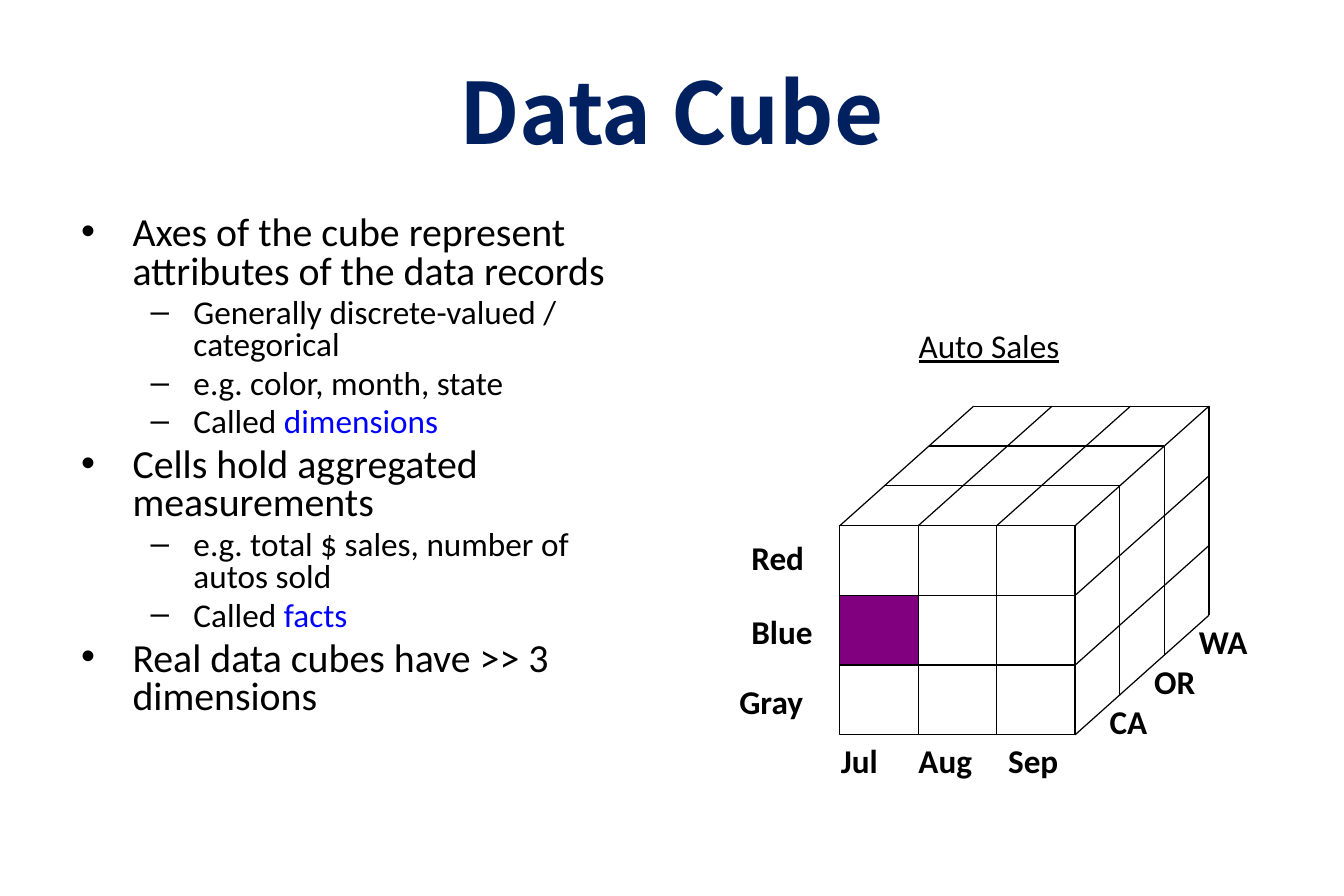
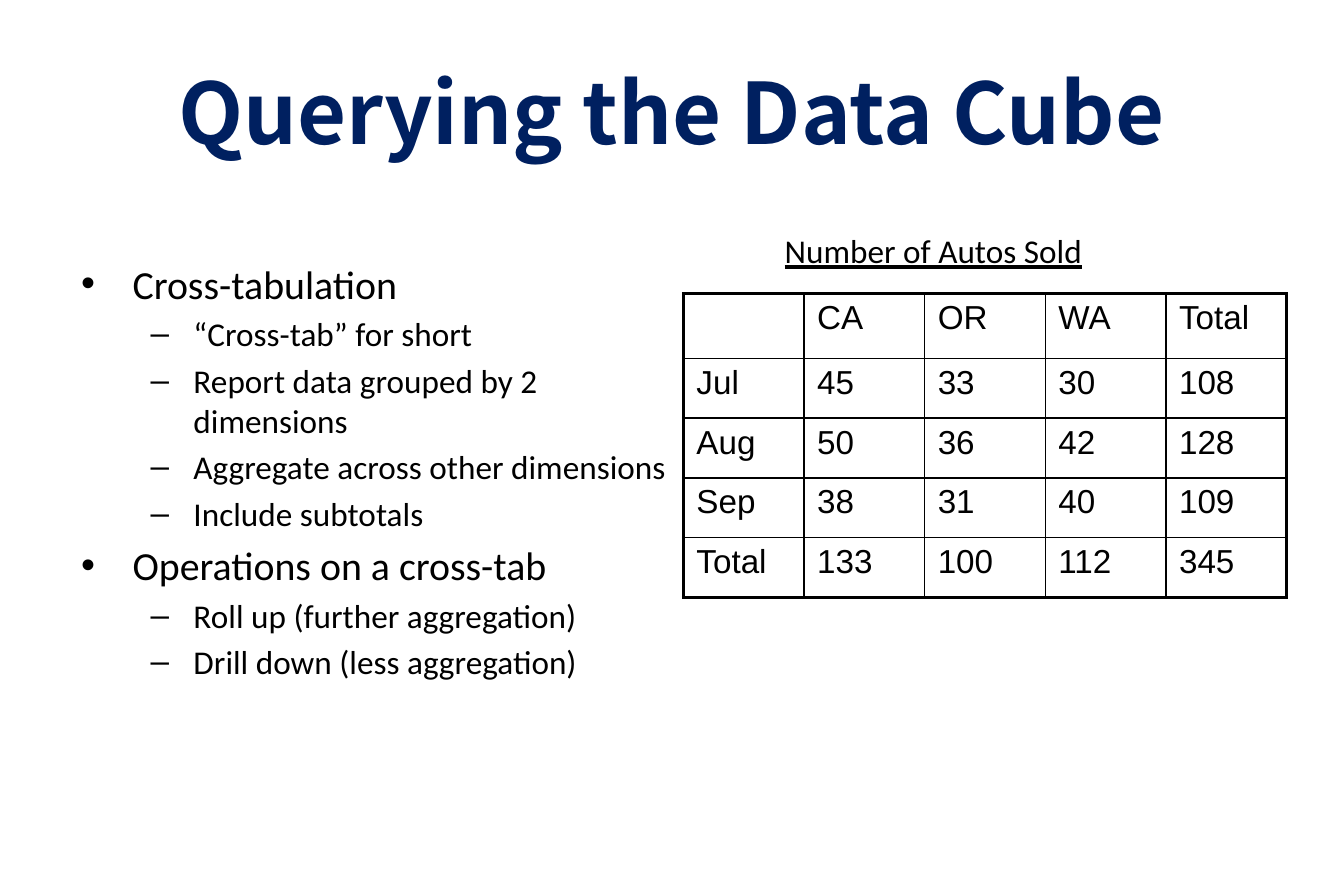
import pptx
import pptx.dml.color
import pptx.enum.shapes
import pptx.enum.text
import pptx.oxml
import pptx.oxml.ns
import pptx.util
from pptx.util import Inches

RGBColor = pptx.dml.color.RGBColor
BLACK = RGBColor(0x00, 0x00, 0x00)
NAVY = RGBColor(0x00, 0x20, 0x60)
BLUE = RGBColor(0x00, 0x00, 0xFF)
PURPLE = RGBColor(0x80, 0x00, 0x80)

TITLE_FONT = "Noto Sans CJK SC"
BODY_FONT = "Calibri"
TABLE_FONT = "Arial"

# Per bullet level: character, left margin, hanging indent, size, space before
BULLETS = [("•", 0.43, 0.43, 24, 4.8), ("–", 0.94, 0.36, 20, 4)]


class Deck:
    """Holds the shared style and the current slide."""

    def __init__(self):
        self.presentation = pptx.Presentation()
        self.presentation.slide_width = Inches(11.25)
        self.presentation.slide_height = Inches(7.5)
        self.slide = None

    def style(self, font, size, color=BLACK, name=BODY_FONT, bold=False, underline=False):
        font.name = name
        font.size = pptx.util.Pt(size)
        font.bold = bold
        font.underline = underline
        font.color.rgb = color

    def margins(self, frame, side, top):
        frame.margin_left = frame.margin_right = Inches(side)
        frame.margin_top = frame.margin_bottom = Inches(top)

    def add_slide(self, title):
        self.slide = self.presentation.slides.add_slide(self.presentation.slide_layouts[5])
        shape = self.slide.shapes.title
        shape.left, shape.top = Inches(0.56), Inches(0.3)
        shape.width, shape.height = Inches(10.12), Inches(1.25)
        frame = shape.text_frame
        frame.text = title
        frame.auto_size = pptx.enum.text.MSO_AUTO_SIZE.NONE
        frame.vertical_anchor = pptx.enum.text.MSO_ANCHOR.MIDDLE
        self.margins(frame, 0.12, 0.06)
        paragraph = frame.paragraphs[0]
        paragraph.alignment = pptx.enum.text.PP_ALIGN.CENTER
        self.style(paragraph.runs[0].font, 51, NAVY, TITLE_FONT, bold=True)

    def bullets(self, items, top, width, line_spacing=1.0):
        """Each item is (level, text); text after a bar is a highlighted term."""
        box = self.slide.shapes.add_textbox(Inches(0.56), Inches(top), Inches(width), Inches(4.95))
        frame = box.text_frame
        frame.word_wrap = True
        self.margins(frame, 0.12, 0.06)
        for index, (level, text) in enumerate(items):
            paragraph = frame.add_paragraph() if index else frame.paragraphs[0]
            character, left, hanging, size, space = BULLETS[level]
            paragraph.level = level
            properties = paragraph._p.get_or_add_pPr()
            properties.set("marL", str(Inches(left)))
            properties.set("indent", str(-Inches(hanging)))
            for tag, key, value in (("buFont", "typeface", "Arial"), ("buChar", "char", character)):
                element = pptx.oxml.ns.qn("a:" + tag)
                properties.append(properties.makeelement(element, {key: value}))
            paragraph.line_spacing = line_spacing
            paragraph.space_before = pptx.util.Pt(space if index else 0)
            for part, color in zip(text.split("|"), (BLACK, BLUE)):
                run = paragraph.add_run()
                run.text = part
                self.style(run.font, size, color)

    def label(self, text, left, top, width, bold=False, underline=False, wrap=True):
        box = self.slide.shapes.add_textbox(Inches(left), Inches(top), Inches(width), Inches(0.43))
        frame = box.text_frame
        frame.text = text
        frame.word_wrap = wrap
        frame.auto_size = pptx.enum.text.MSO_AUTO_SIZE.SHAPE_TO_FIT_TEXT
        self.style(frame.paragraphs[0].runs[0].font, 20, bold=bold, underline=underline)

    def rectangle(self, left, top, width, height, fill=None):
        shape = self.slide.shapes.add_shape(
            pptx.enum.shapes.MSO_SHAPE.RECTANGLE,
            Inches(left), Inches(top), Inches(width), Inches(height))
        shape.shadow.inherit = False
        if fill is None:
            shape.fill.background()
        else:
            shape.fill.solid()
            shape.fill.fore_color.rgb = fill
        shape.line.color.rgb = BLACK
        shape.line.width = pptx.util.Pt(0.75)

    def line(self, start, end):
        connector = self.slide.shapes.add_connector(
            pptx.enum.shapes.MSO_CONNECTOR.STRAIGHT, *map(Inches, start + end))
        connector.line.color.rgb = BLACK
        connector.line.width = pptx.util.Pt(0.75)
        properties = connector._element.spPr
        properties.append(properties.makeelement(pptx.oxml.ns.qn("a:effectLst"), {}))

    def cell_border(self, cell, side, width):
        border = pptx.oxml.parse_xml(
            f'<a:ln{side} xmlns:a="http://schemas.openxmlformats.org/drawingml/2006/main" '
            f'w="{pptx.util.Pt(width)}"><a:solidFill><a:srgbClr val="{BLACK}"/></a:solidFill>'
            f'</a:ln{side}>')
        cell._tc.get_or_add_tcPr().append(border)

    def table(self, rows, left, top, column_width, row_heights):
        last_row, last_column = len(rows) - 1, len(rows[0]) - 1
        table = self.slide.shapes.add_table(
            len(rows), len(rows[0]), Inches(left), Inches(top),
            Inches(column_width * len(rows[0])), Inches(sum(row_heights))).table
        table.first_row = table.horz_banding = False
        for column in table.columns:
            column.width = Inches(column_width)
        for row, height in zip(table.rows, row_heights):
            row.height = Inches(height)
        for r, values in enumerate(rows):
            for c, value in enumerate(values):
                cell = table.cell(r, c)
                # Thick outer frame, thin inner grid
                outer = {"L": c == 0, "R": c == last_column, "T": r == 0, "B": r == last_row}
                for side, is_outer in outer.items():
                    self.cell_border(cell, side, 2.25 if is_outer else 1)
                cell.fill.background()
                self.margins(cell, 0.11, 0.05)
                cell.text_frame.text = value
                for run in cell.text_frame.paragraphs[0].runs:
                    self.style(run.font, 20, name=TABLE_FONT)


def draw_cube(deck, left, top, count=3):
    cell_width, cell_height = 1.97 / count, 1.75 / count
    step_x, step_y = 1.12 / count, 1 / count

    def corner(column, row, layer):
        return (left + column * cell_width + layer * step_x,
                top + row * cell_height - layer * step_y)

    # Front face, with the first month of the middle row highlighted
    for column in range(count):
        for row in range(count):
            fill = PURPLE if (column, row) == (0, 1) else None
            deck.rectangle(*corner(column, row, 0), cell_width, cell_height, fill)

    # Top and right faces, one layer at a time
    edge = [(column, 0) for column in range(count + 1)]
    edge += [(count, row) for row in range(1, count + 1)]
    for layer in range(count):
        for point in edge:
            deck.line(corner(*point, layer), corner(*point, layer + 1))
        for start, end in zip(edge, edge[1:]):
            deck.line(corner(*start, layer + 1), corner(*end, layer + 1))

    # Axis labels
    for text, x in (("Jul", 6.94), ("Aug", 7.59), ("Sep", 8.34)):
        deck.label(text, x, 6.15, 0.84, bold=True)
    for layer, text in enumerate(("CA", "OR", "WA")):
        deck.label(text, 9.19 + layer * step_x, 5.82 - layer * step_y, 0.84, bold=True)
    for text, x, y, width in (("Red", 6.19, 4.45, 0.65), ("Blue", 6.19, 5.07, 0.72),
                              ("Gray", 6.09, 5.65, 0.74)):
        deck.label(text, x, y, width, bold=True, wrap=False)


def main():
    deck = Deck()

    # Slide 1: the cube
    deck.add_slide("Data Cube")
    deck.bullets([
        (0, "Axes of the cube represent attributes of the data records"),
        (1, "Generally discrete-valued / categorical"),
        (1, "e.g. color, month, state"),
        (1, "Called |dimensions"),
        (0, "Cells hold aggregated measurements"),
        (1, "e.g. total $ sales, number of autos sold"),
        (1, "Called |facts"),
        (0, "Real data cubes have >> 3 dimensions"),
    ], 1.75, 4.97, line_spacing=0.8)
    draw_cube(deck, 7.03, 4.4)
    deck.label("Auto Sales", 7.59, 2.67, 1.39, underline=True, wrap=False)

    # Slide 2: the cross-tab
    deck.add_slide("Querying the Data Cube")
    deck.bullets([
        (0, "Cross-tabulation"),
        (1, "“Cross-tab” for short"),
        (1, "Report data grouped by 2 dimensions"),
        (1, "Aggregate across other dimensions"),
        (1, "Include subtotals"),
        (0, "Operations on a cross-tab"),
        (1, "Roll up (further aggregation)"),
        (1, "Drill down (less aggregation)"),
    ], 2.11, 5.16)
    deck.table([
        ["", "CA", "OR", "WA", "Total"],
        ["Jul", "45", "33", "30", "108"],
        ["Aug", "50", "36", "42", "128"],
        ["Sep", "38", "31", "40", "109"],
        ["Total", "133", "100", "112", "345"],
    ], 5.72, 2.46, 1.01, [0.54] + [0.5] * 4)
    deck.label("Number of Autos Sold", 6.47, 1.88, 3.75, underline=True)

    deck.presentation.save("out.pptx")


if __name__ == "__main__":
    main()
